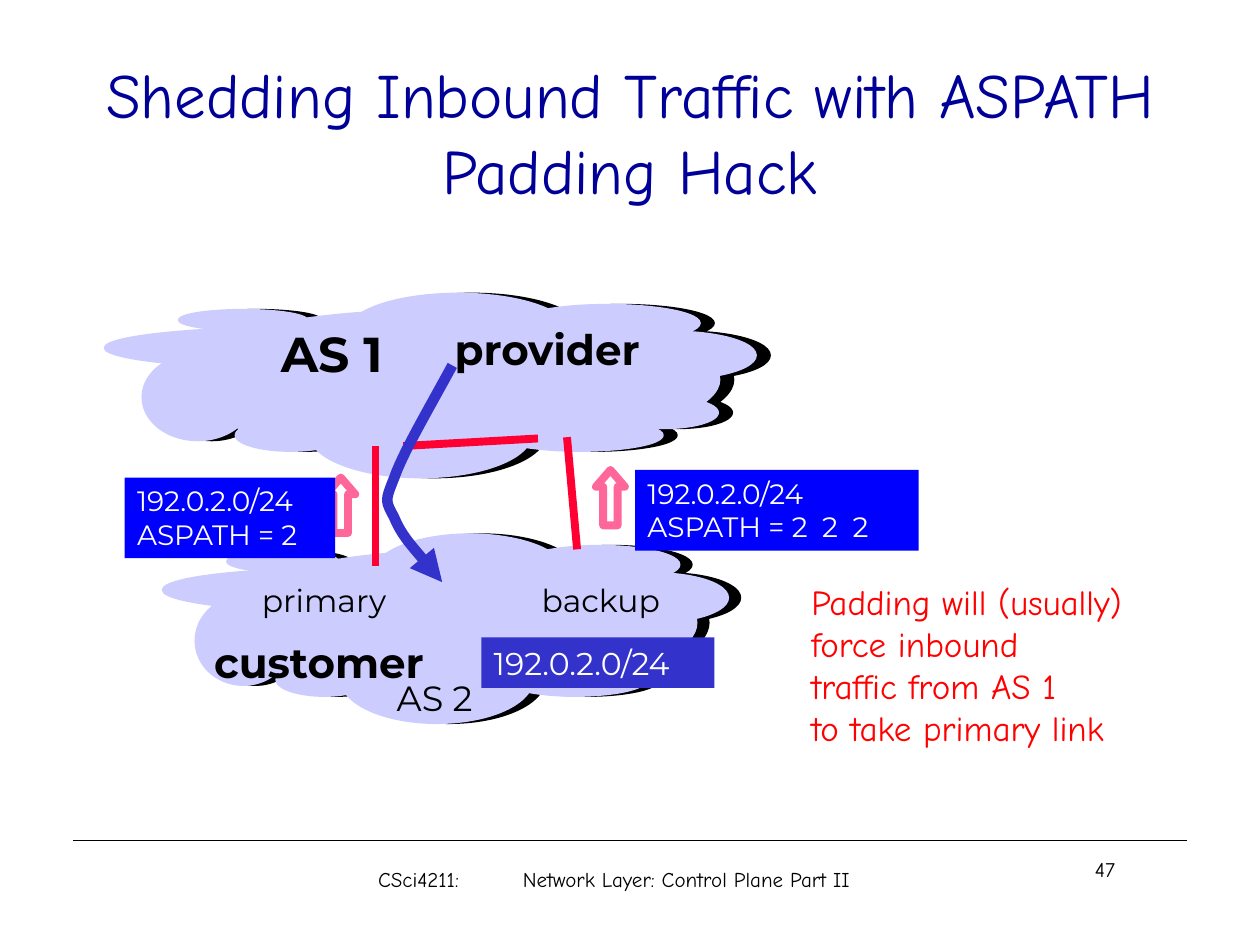
from lxml import etree
from pptx import Presentation
from pptx.dml.color import RGBColor
from pptx.enum import shapes, text
from pptx.oxml import ns
from pptx.util import Inches, Pt

COLOURS = {
    "title": "000099", "ink": "000000", "cloud": "CCCCFF", "link": "FF0033",
    "route": "0000FF", "traffic": "3333CC", "advert": "FF6699",
    "note": "FF0000", "paper": "FFFFFF",
}
HAND, SANS = "Comic Neue", "Montserrat"

CLOUD_PERCENT = [
    (8.7, 8.8, 85.7, 76), (11.4, 8.8, 19.7, 11.1), (63, 6.1, 28.4, 20),
    (37.3, 0, 34, 41), (0, 18, 62.7, 23), (31.5, 53.4, 34, 46.6),
    (74.5, 20.6, 25.5, 26), (5.8, 32.8, 17, 47), (20.1, 68.4, 17, 17.2),
    (60.2, 68.4, 25.5, 17.2),
]
RIGHT_PUFF = (77.4, 56.2, 16.8, 17.1)
CLOUD_SHADOW = 2.15


def colour(name):
    return RGBColor.from_string(COLOURS[name])


def inches(*lengths):
    return [Inches(length) for length in lengths]


def add_label(page, box, words, size, ink="ink", font=SANS, bold=False,
              fill=None, align=text.PP_ALIGN.LEFT, wrap=False):
    if fill:
        label = page.shapes.add_shape(shapes.MSO_SHAPE.RECTANGLE, *inches(*box))
        label.shadow.inherit = False
        label.fill.solid()
        label.fill.fore_color.rgb = colour(fill)
        label.line.fill.background()
    else:
        label = page.shapes.add_textbox(*inches(*box))
    frame = label.text_frame
    frame.text = words
    frame.word_wrap = wrap
    frame.vertical_anchor = text.MSO_ANCHOR.TOP
    for para in frame.paragraphs:
        para.alignment = align
        for span in para.runs:
            span.font.name = font
            span.font.size = Pt(size)
            span.font.bold = bold
            span.font.color.rgb = colour(ink)
    return label


def add_line(page, start, end, ink, width):
    line = page.shapes.add_connector(
        shapes.MSO_CONNECTOR.STRAIGHT, *inches(*start, *end))
    line.line.color.rgb = colour(ink)
    line.line.width = Pt(width)
    etree.SubElement(line._element.spPr, ns.qn("a:effectLst"))


def add_cloud(page, box, puffs):
    left, top, width, height = box
    for ink, shift in (("ink", CLOUD_SHADOW), ("cloud", 0)):
        for x, y, w, h in puffs:
            puff = page.shapes.add_shape(shapes.MSO_SHAPE.OVAL, *inches(
                left + (x + shift) * width / 100, top + y * height / 100,
                w * width / 100, h * height / 100))
            puff.shadow.inherit = False
            puff.fill.solid()
            puff.fill.fore_color.rgb = colour(ink)
            puff.line.color.rgb = colour(ink)
            puff.line.width = Pt(1)


def add_advert_arrow(page, box):
    arrow = page.shapes.add_shape(shapes.MSO_SHAPE.UP_ARROW, *inches(*box))
    arrow.shadow.inherit = False
    arrow.adjustments[0] = 0.5
    arrow.adjustments[1] = 0.58
    arrow.fill.solid()
    arrow.fill.fore_color.rgb = colour("paper")
    arrow.line.color.rgb = colour("advert")
    arrow.line.width = Pt(4.5)


def add_traffic_curve(page, points):
    start, *controls = [tuple(inches(*point)) for point in points]
    builder = page.shapes.build_freeform(*start)
    builder.add_line_segments(controls, close=False)
    curve = builder.convert_to_shape()
    curve.shadow.inherit = False
    curve.fill.background()
    curve.line.color.rgb = colour("traffic")
    curve.line.width = Pt(6)
    outline = curve._element.find(".//" + ns.qn("a:path"))
    segments = outline.findall(ns.qn("a:lnTo"))
    for first in range(0, len(segments), 3):
        bend = etree.SubElement(outline, ns.qn("a:cubicBezTo"))
        for segment in segments[first:first + 3]:
            bend.append(segment[0])
            outline.remove(segment)
    etree.SubElement(curve.line._get_or_add_ln(), ns.qn("a:tailEnd"), type="triangle")


def add_title(page, box):
    title = add_label(page, box, "Shedding Inbound Traffic with ASPATH Padding Hack",
                      36, "title", HAND, align=text.PP_ALIGN.CENTER, wrap=True)
    title.text_frame.vertical_anchor = text.MSO_ANCHOR.MIDDLE


def add_network(page, box):
    left, top, width, height = box

    def at(x, y, *size):
        return (left + x, top + y, *size)

    add_cloud(page, at(0.03, 0.03, 5.17, 1.46), CLOUD_PERCENT + [RIGHT_PUFF])
    add_label(page, at(1.33, 0.22, 1.18, 0.57), "AS 1", 28, bold=True)
    add_cloud(page, at(0.49, 1.94, 4.49, 1.5), CLOUD_PERCENT)

    for start, end in (((3.7, 1.17), (3.78, 2.06)), ((2.18, 1.24), (2.18, 2.19))):
        add_line(page, at(*start), at(*end), "link", 4.5)

    add_label(page, at(4.24, 1.43, 2.25, 0.64), "192.0.2.0/24\nASPATH = 2  2  2",
              16, "paper", fill="route")
    add_label(page, at(0.8, 2.7, 1.92, 0.5), "customer", 24, bold=True)
    add_label(page, at(2.25, 3.02, 0.89, 0.43), "AS 2", 20)
    add_label(page, at(2.71, 0.22, 1.7, 0.5), "provider", 24, bold=True)
    add_label(page, at(3.02, 2.76, 1.85, 0.4), "192.0.2.0/24", 18, "paper",
              fill="traffic")
    add_label(page, at(3.4, 2.26, 1.2, 0.4), "backup", 18)
    add_label(page, at(1.18, 2.26, 1.24, 0.4), "primary", 18)

    add_advert_arrow(page, at(1.79, 1.49, 0.23, 0.44))
    add_label(page, at(0.19, 1.49, 1.67, 0.64), "192.0.2.0/24\nASPATH = 2",
              16, "paper", fill="route")
    add_advert_arrow(page, at(3.93, 1.43, 0.23, 0.44))
    add_line(page, at(3.47, 1.18), at(2.4, 1.24), "link", 4.5)
    add_traffic_curve(page, [at(*point) for point in (
        (2.79, 0.6), (2.6, 0.95), (2.4, 1.29), (2.33, 1.49), (2.25, 1.69),
        (2.26, 1.67), (2.33, 1.81), (2.39, 1.95), (2.55, 2.13), (2.71, 2.32))])


def add_note(page, box):
    add_label(page, box, "Padding will (usually)\nforce inbound\n"
              "traffic from AS 1\nto take primary link", 20, "note", HAND, fill="paper")


def add_footer(page, box):
    left, top, width, height = box
    add_line(page, (left, top), (left + width, top), "ink", 0.75)
    add_label(page, (left + 7.42, top + 0.08, 1.54, 0.5), "47", 12, font=HAND,
              align=text.PP_ALIGN.CENTER, wrap=True)
    course = add_label(page, (left + 2, top + 0.16, 4.58, 0.33),
                       "CSci4211:\tNetwork Layer: Control Plane Part II", 12,
                       font=HAND, wrap=True)
    course.text_frame.margin_left = Inches(0.42)
    props = course.text_frame.paragraphs[0]._p.get_or_add_pPr()
    stops = etree.SubElement(props, ns.qn("a:tabLst"))
    etree.SubElement(stops, ns.qn("a:tab"), pos=str(Inches(1.15)), algn="l")


def main():
    deck = Presentation()
    deck.slide_width, deck.slide_height = inches(10, 7.5)
    page = deck.slides.add_slide(deck.slide_layouts[6])
    add_title(page, (0, 0, 10, 2.08))
    add_note(page, (6.34, 4.56, 2.92, 1.43))
    add_network(page, (0.8, 2.3, 6.5, 3.5))
    add_footer(page, (0.58, 6.67, 8.84, 0.6))
    deck.save("out.pptx")


if __name__ == "__main__":
    main()
